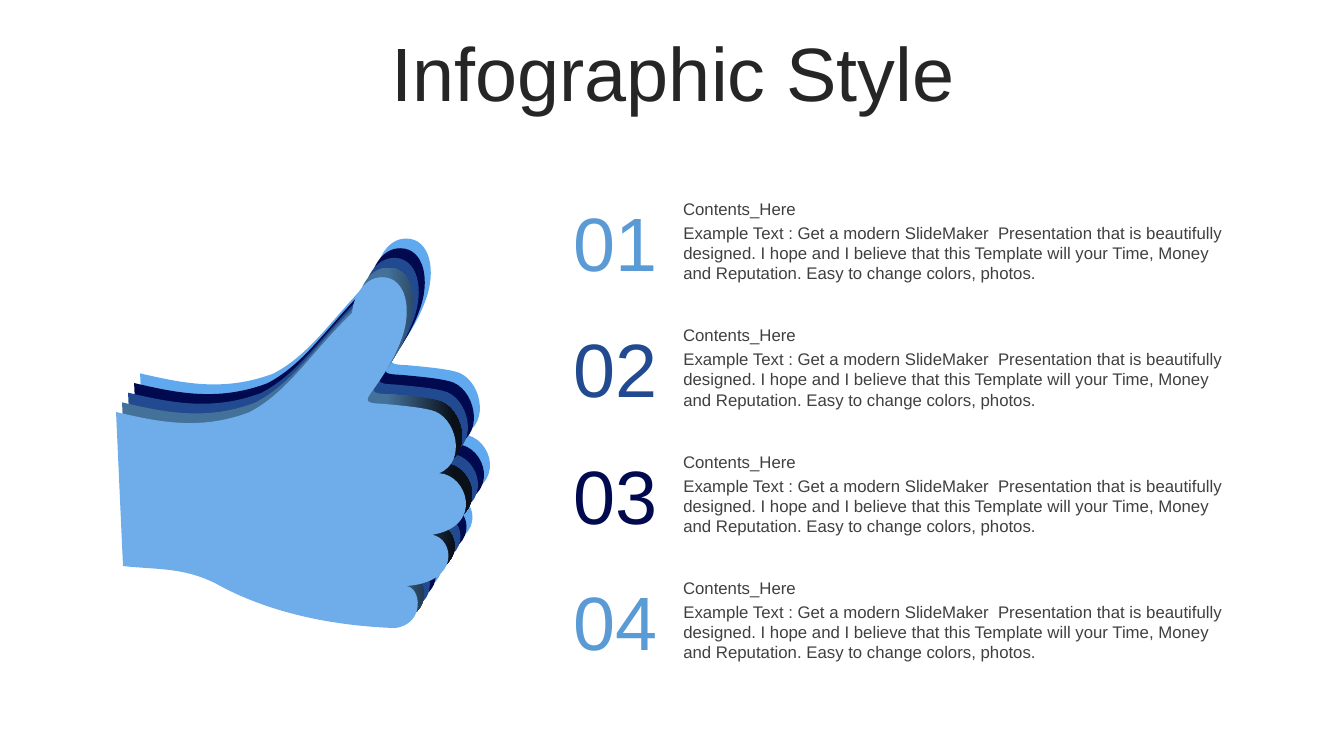
"""Build the thumbs-up infographic slide with four numbered contents."""

from dataclasses import dataclass

from lxml import etree
from pptx import Presentation
from pptx.dml.color import RGBColor
from pptx.enum.text import MSO_ANCHOR, MSO_AUTO_SIZE, PP_ALIGN
from pptx.oxml.ns import qn
from pptx.shapes.autoshape import Shape
from pptx.slide import Slide
from pptx.text.text import TextFrame
from pptx.util import Pt

MIDDLE, TOP = MSO_ANCHOR.MIDDLE, MSO_ANCHOR.TOP
CENTER, LEFT = PP_ALIGN.CENTER, PP_ALIGN.LEFT
GROW, FIXED = MSO_AUTO_SIZE.SHAPE_TO_FIT_TEXT, MSO_AUTO_SIZE.NONE

COLORS = {
    "title": "262626",
    "body": "404040",
    "sky": "5A9BD5",
    "royal": "224A90",
    "navy": "010A4F",
    "back": "60A9EE",
    "steel": "44719A",
    "shade": "0A0F18",
    "palm": "6EADE9",
}
FONT = "Arial"
HEADING = "Contents_Here"
DESCRIPTION = (
    "Example Text : Get a modern SlideMaker  Presentation that is beautifully "
    "designed. I hope and I believe that this Template will your Time, Money "
    "and Reputation. Easy to change colors, photos."
)
ITEM_PITCH = 90.24
LAYER_SHIFT = (4.3, -6.9)

Point = tuple[float, float]


@dataclass(frozen=True)
class Item:
    number: str
    color: str


@dataclass(frozen=True)
class Layer:
    depth: int
    color: str
    shade: str = ""


ITEMS = [
    Item("01", "sky"),
    Item("02", "royal"),
    Item("03", "navy"),
    Item("04", "sky"),
]
LAYERS = [
    Layer(4, "back"),
    Layer(3, "navy"),
    Layer(2, "royal"),
    Layer(1, "steel", "shade"),
    Layer(0, "palm"),
]

HAND_START: Point = (274, 288.5)
HAND_CURVES: list[tuple[Point, Point, Point]] = [
    ((290, 290), (300, 291), (308, 293)),
    ((326, 297), (334, 330), (313.6, 338)),
    ((334, 339), (346, 376), (308.6, 382)),
    ((324, 384), (330, 416), (290, 418.6)),
    ((301, 419), (304, 446), (282, 448.6)),
    ((238, 447), (192, 438), (153.6, 416.5)),
    ((130, 405), (112, 407), (87.9, 404.3)),
    ((86.2, 367.6), (84.6, 331), (82.9, 294.3)),
    ((112, 301), (142, 308), (178, 294.5)),
    ((206, 280), (222, 252), (251.5, 223.5)),
    ((252, 214), (259, 198), (273, 198)),
    ((290, 198), (295, 221), (286.5, 243)),
    ((281, 258), (272, 271), (264, 282)),
    ((260, 288), (265, 288), HAND_START),
]


def rgb(name: str) -> RGBColor:
    """Return the named palette colour."""
    return RGBColor.from_string(COLORS[name])


def bend(shape: Shape) -> None:
    """Turn every three line segments of a freeform into one Bezier curve."""
    segments = list(shape.element.iter(qn("a:lnTo")))
    for first in range(0, len(segments), 3):
        curve = etree.Element(qn("a:cubicBezTo"))
        segments[first].addprevious(curve)
        for segment in segments[first:first + 3]:
            curve.append(segment[0])
            segment.getparent().remove(segment)


def draw_layer(slide: Slide, layer: Layer) -> None:
    """Draw one layer of the hand, shifted by its depth."""
    dx, dy = (shift * layer.depth for shift in LAYER_SHIFT)
    outline = [HAND_START, *(point for curve in HAND_CURVES for point in curve)]
    points = [(Pt(x + dx), Pt(y + dy)) for x, y in outline]
    builder = slide.shapes.build_freeform(*points[0])
    builder.add_line_segments(points[1:], close=True)
    hand = builder.convert_to_shape()
    bend(hand)
    hand.shadow.inherit = False
    hand.line.fill.background()
    if layer.shade:
        hand.fill.gradient()
        hand.fill.gradient_angle = 0
        near, far = hand.fill.gradient_stops
        near.color.rgb, near.position = rgb(layer.color), 0.72
        far.color.rgb, far.position = rgb(layer.shade), 0.9
    else:
        hand.fill.solid()
        hand.fill.fore_color.rgb = rgb(layer.color)


def write(frame: TextFrame, text: str, size: float, color: str,
          align: PP_ALIGN = LEFT) -> None:
    """Set and format the single paragraph of a text frame."""
    frame.text = text
    paragraph = frame.paragraphs[0]
    paragraph.alignment = align
    font = paragraph.runs[0].font
    font.name, font.size = FONT, Pt(size)
    font.color.rgb = rgb(color)


def add_text(slide: Slide, left: float, top: float, width: float, height: float,
             text: str, size: float, color: str, numeral: bool = False) -> None:
    """Add a wrapped text box; a numeral is centred vertically."""
    box = slide.shapes.add_textbox(Pt(left), Pt(top), Pt(width), Pt(height))
    frame = box.text_frame
    frame.word_wrap = True
    frame.auto_size = GROW
    frame.vertical_anchor = MIDDLE if numeral else TOP
    if numeral:
        frame.margin_top = frame.margin_bottom = 0
    write(frame, text, size, color)


def draw_item(slide: Slide, item: Item, offset: float) -> None:
    """Draw the description, heading and number of one item."""
    add_text(slide, 481, 155.5 + offset, 406, 51, DESCRIPTION, 12, "body")
    add_text(slide, 480.8, 138.4 + offset, 407, 21.8, HEADING, 12, "body")
    add_text(slide, 402.5, 139.7 + offset, 75.6, 65.4, item.number, 54,
             item.color, numeral=True)


def draw_title(slide: Slide) -> None:
    """Place and format the title."""
    title = slide.shapes.title
    title.left, title.top = Pt(25.2), Pt(26.6)
    title.width, title.height = Pt(911.5), Pt(56.9)
    frame = title.text_frame
    frame.word_wrap = True
    frame.auto_size = FIXED
    frame.vertical_anchor = MIDDLE
    write(frame, "Infographic Style", 54, "title", CENTER)
    frame.paragraphs[0].line_spacing = 0.9
    frame.paragraphs[0].space_before = Pt(0)


def main() -> None:
    """Build and save the slide."""
    deck = Presentation()
    deck.slide_width, deck.slide_height = Pt(960), Pt(540)
    slide = deck.slides.add_slide(deck.slide_layouts[5])
    draw_title(slide)
    for layer in LAYERS:
        draw_layer(slide, layer)
    for index, item in enumerate(ITEMS):
        draw_item(slide, item, index * ITEM_PITCH)
    deck.save("out.pptx")


if __name__ == "__main__":
    main()
